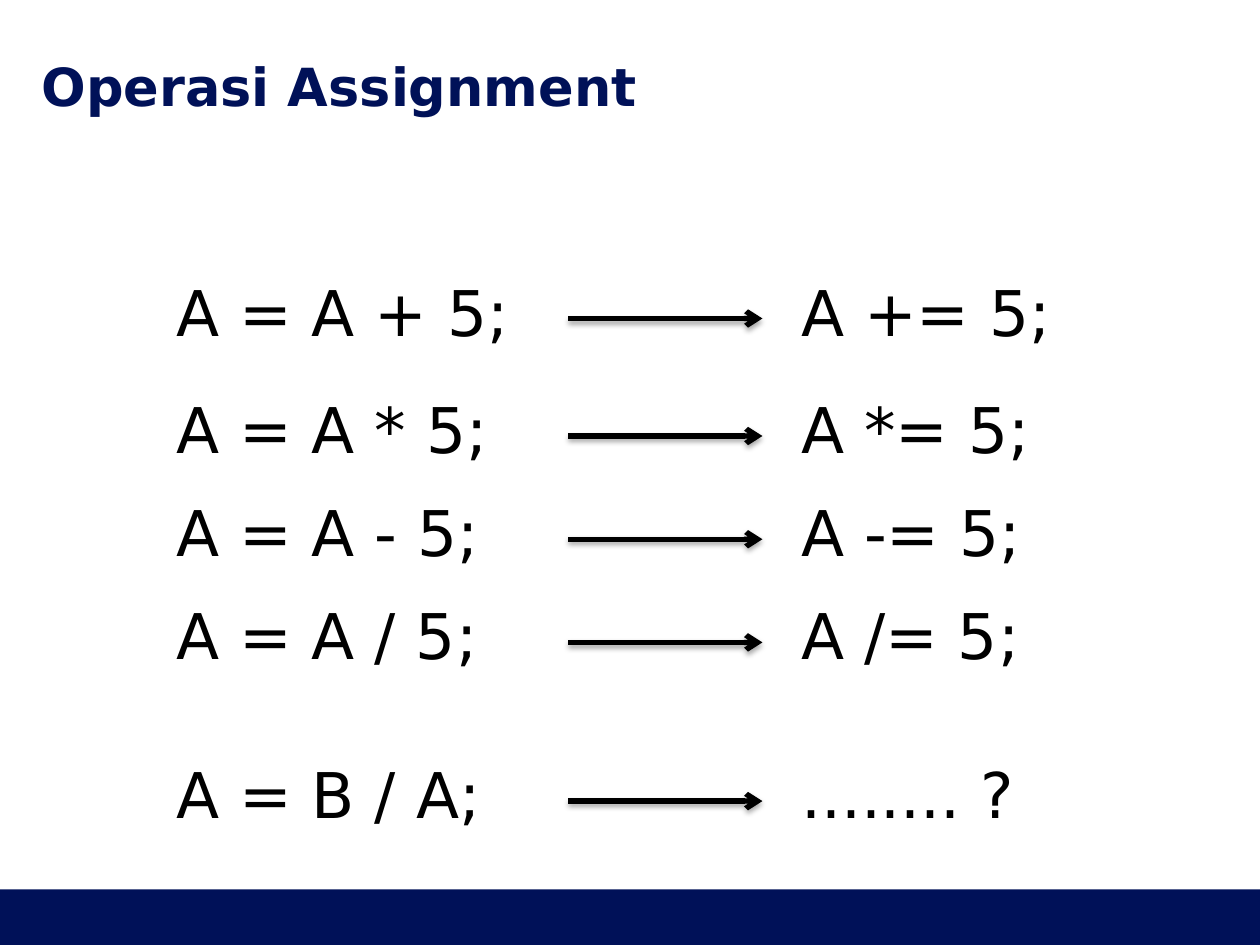
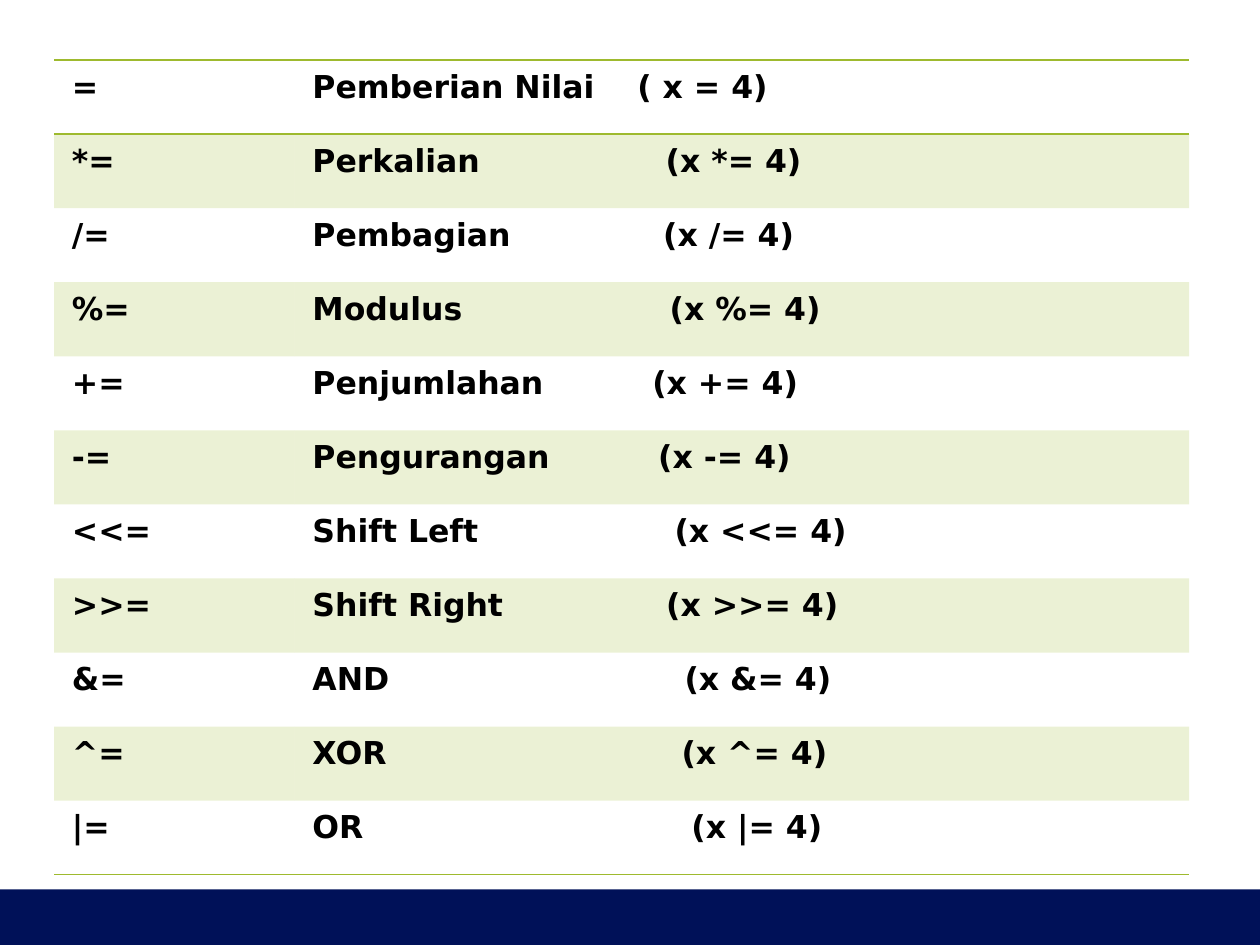
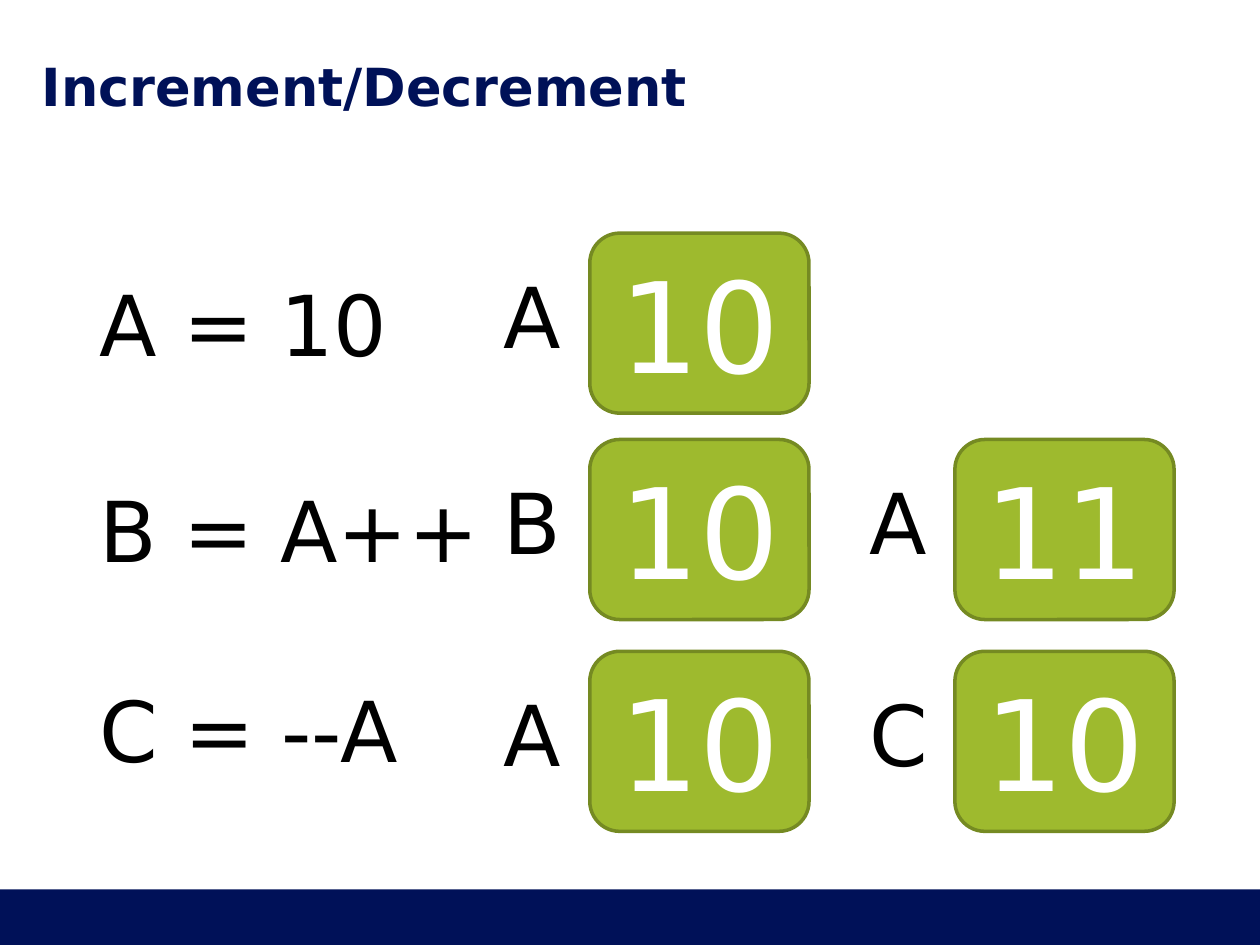
from dataclasses import dataclass

from lxml import etree
from pptx import Presentation
from pptx.dml.color import RGBColor
from pptx.enum import shapes, text
from pptx.oxml.ns import qn
from pptx.util import Cm, Pt


@dataclass(frozen=True)
class Theme:
    font: str = "DejaVu Sans"
    navy: str = "001158"
    green: str = "9EBA2E"
    dark_green: str = "758A22"
    black: str = "000000"
    white: str = "FFFFFF"
    title_size: int = 30
    code_size: int = 36
    table_size: int = 18
    formula_size: int = 48
    value_size: int = 72


@dataclass(frozen=True)
class Box:
    left: float
    top: float
    width: float
    height: float

    def inner(self, left, top, width, height):
        return Box(self.left + left, self.top + top, width, height)

    def lengths(self):
        return [Cm(value) for value in (self.left, self.top, self.width, self.height)]


THEME = Theme()
PAGE = Box(0, 0, 25.4, 19.05)
NO_GRID_STYLE = "{2D5ABB26-0587-4C30-8999-92F81FD0307C}"

ASSIGNMENTS = [
    (0, "A = A + 5;", 7.57, "A += 5;", 5.79),
    (2.37, "A = A * 5;", 7.34, "A *= 5;", 5.56),
    (4.45, "A = A - 5;", 7.09, "A -= 5;", 5.33),
    (6.53, "A = A / 5;", 7.09, "A /= 5;", 5.33),
    (9.73, "A = B / A;", 7.16, "........ ?", 5.41),
]
OPERATORS = [
    ("=", "Pemberian Nilai", "( x = 4)", 6.55),
    ("*=", "Perkalian", "(x *= 4)", 7.12),
    ("/=", "Pembagian", "(x /= 4)", 7.07),
    ("%=", "Modulus", "(x %= 4)", 7.2),
    ("+=", "Penjumlahan", "(x += 4)", 6.85),
    ("-=", "Pengurangan", "(x -= 4)", 6.97),
    ("<<=", "Shift Left", "(x <<= 4)", 7.3),
    (">>=", "Shift Right", "(x >>= 4)", 7.13),
    ("&=", "AND", "(x &= 4)", 7.5),
    ("^=", "XOR", "(x ^= 4)", 7.44),
    ("|=", "OR", "(x |= 4)", 7.64),
]
STEPS = [
    (4.7, "A = 10", 6.45, 0.66, [("A", "10")]),
    (8.86, "B = A++", 8.26, 0.66, [("B", "10"), ("A", "11")]),
    (13.13, "C = --A", 6.99, 0.43, [("A", "10"), ("C", "10")]),
]


def set_all(target, values):
    for name, value in values.items():
        setattr(target, name, value)


def add_xml(parent, tag, **attributes):
    return etree.SubElement(parent, qn(tag), {name: str(value) for name, value in attributes.items()})


def paint(fill, color):
    fill.solid()
    fill.fore_color.rgb = RGBColor.from_string(color)


def write(paragraph, words, size, color, bold=False):
    run = paragraph.add_run()
    run.text = words
    set_all(run.font, {"name": THEME.font, "size": Pt(size), "bold": bold})
    run.font.color.rgb = RGBColor.from_string(color)


def add_label(container, box, words, size):
    frame = container.add_textbox(*box.lengths()).text_frame
    set_all(frame, {"word_wrap": False, "auto_size": text.MSO_AUTO_SIZE.SHAPE_TO_FIT_TEXT})
    write(frame.paragraphs[0], words, size, THEME.black)


def add_title(slide, box, words):
    frame = slide.shapes.add_textbox(*box.lengths()).text_frame
    set_all(frame, {
        "word_wrap": True, "vertical_anchor": text.MSO_ANCHOR.MIDDLE,
        "margin_left": 0, "margin_right": 0, "margin_top": 0, "margin_bottom": 0,
    })
    write(frame.paragraphs[0], words, THEME.title_size, THEME.navy, True)


def add_footer_band(slide, box):
    band = slide.shapes.add_shape(shapes.MSO_SHAPE.RECTANGLE, *box.lengths())
    band.shadow.inherit = False
    paint(band.fill, THEME.navy)
    band.line.fill.background()


def start_slide(presentation, title=None):
    slide = presentation.slides.add_slide(presentation.slide_layouts[6])
    add_footer_band(slide, PAGE.inner(0, 17.93, PAGE.width, 1.12))
    if title:
        add_title(slide, PAGE.inner(0.84, 1.12, 23.72, 1.19), title)
    return slide


def add_arrow(slide, left, right, height):
    arrow = slide.shapes.add_connector(
        shapes.MSO_CONNECTOR.STRAIGHT, Cm(left), Cm(height), Cm(right), Cm(height))
    arrow.line.width = Pt(3)
    paint(arrow.line.fill, THEME.black)
    add_xml(arrow.line._get_or_add_ln(), "a:tailEnd", type="arrow")
    effects = add_xml(arrow._element.spPr, "a:effectLst")
    shadow = add_xml(effects, "a:outerShdw", blurRad=Pt(3.1), dist=Pt(1.8), dir=5400000, rotWithShape=0)
    add_xml(add_xml(shadow, "a:srgbClr", val=THEME.black), "a:alpha", val=35000)


def add_assignments(slide, box):
    for top, long_form, long_width, short_form, short_width in ASSIGNMENTS:
        add_label(slide.shapes, box.inner(0, top, long_width, 1.8), long_form, THEME.code_size)
        add_arrow(slide, box.left + 8.16, box.left + 12.07, box.top + top + 1.04)
        add_label(slide.shapes, box.inner(12.6, top, short_width, 1.8), short_form, THEME.code_size)


def add_border(cell, tag):
    line = add_xml(cell._tc.get_or_add_tcPr(), tag, w=Pt(1))
    add_xml(add_xml(line, "a:solidFill"), "a:srgbClr", val=THEME.green)


def format_cell(cell, row, last_row):
    set_all(cell, {
        "margin_left": Cm(0.36), "margin_right": Cm(0.36),
        "margin_top": Cm(0.18), "margin_bottom": Cm(0.18),
    })
    if row == 0:
        add_border(cell, "a:lnT")
    if row in (0, last_row):
        add_border(cell, "a:lnB")
    if row % 2:
        paint(cell.fill, THEME.green)
        color = cell._tc.tcPr.find(qn("a:solidFill")).find(qn("a:srgbClr"))
        add_xml(color, "a:alpha", val=20000)
    else:
        cell.fill.background()


def add_operator_table(slide, box):
    table = slide.shapes.add_table(len(OPERATORS), 2, *box.lengths()).table
    set_all(table, {"first_row": False, "horz_banding": False})
    table._tbl.tblPr.find(qn("a:tableStyleId")).text = NO_GRID_STYLE
    symbol_width = 4.85
    table.columns[0].width = Cm(symbol_width)
    table.columns[1].width = Cm(box.width - symbol_width)
    for row, (symbol, meaning, example, example_left) in enumerate(OPERATORS):
        for column, words in enumerate((symbol, f"{meaning}\t{example}")):
            cell = table.cell(row, column)
            format_cell(cell, row, len(OPERATORS) - 1)
            paragraph = cell.text_frame.paragraphs[0]
            write(paragraph, words, THEME.table_size, THEME.black, True)
            if column == 1:
                tabs = add_xml(paragraph._p.get_or_add_pPr(), "a:tabLst")
                add_xml(tabs, "a:tab", pos=Cm(example_left), algn="l")


def add_variable(container, box, name, value):
    tile = container.add_shape(
        shapes.MSO_SHAPE.ROUNDED_RECTANGLE, *box.inner(1.98, 0, 4.42, 3.63).lengths())
    tile.shadow.inherit = False
    paint(tile.fill, THEME.green)
    paint(tile.line.fill, THEME.dark_green)
    tile.line.width = Pt(2)
    tile.text_frame.vertical_anchor = text.MSO_ANCHOR.MIDDLE
    paragraph = tile.text_frame.paragraphs[0]
    paragraph.alignment = text.PP_ALIGN.CENTER
    write(paragraph, value, THEME.value_size, THEME.white)
    add_label(container, box.inner(0, 0.51, 1.68, 2.31), name, THEME.formula_size)


def add_step(slide, box, formula, formula_width, formula_top, variables):
    container = slide.shapes.add_group_shape().shapes
    formula_box = box.inner(0, formula_top, formula_width, 2.31)
    add_label(container, formula_box, formula, THEME.formula_size)
    for index, (name, value) in enumerate(variables):
        add_variable(container, box.inner(8.16 + 7.36 * index, 0, 6.4, 3.63), name, value)


def main():
    presentation = Presentation()
    set_all(presentation, {"slide_width": Cm(PAGE.width), "slide_height": Cm(PAGE.height)})

    add_assignments(start_slide(presentation, "Operasi Assignment"), PAGE.inner(3.3, 5.38, 18.4, 11.53))
    add_operator_table(start_slide(presentation), PAGE.inner(1.09, 1.21, 22.88, 16.43))

    slide = start_slide(presentation, "Increment/Decrement")
    for top, *step in STEPS:
        add_step(slide, PAGE.inner(1.75, top, 21.92, 3.63), *step)

    presentation.save("out.pptx")


if __name__ == "__main__":
    main()
